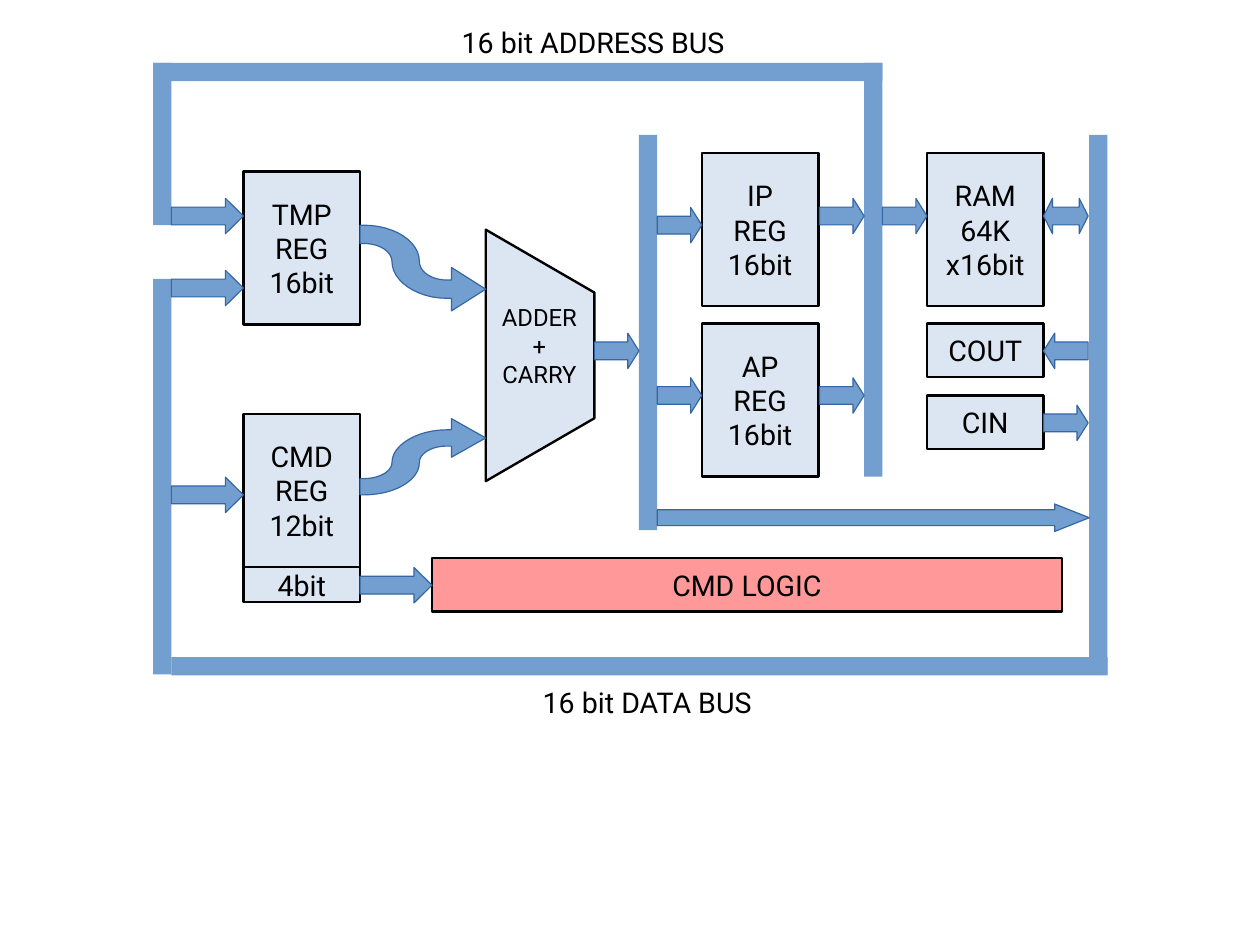
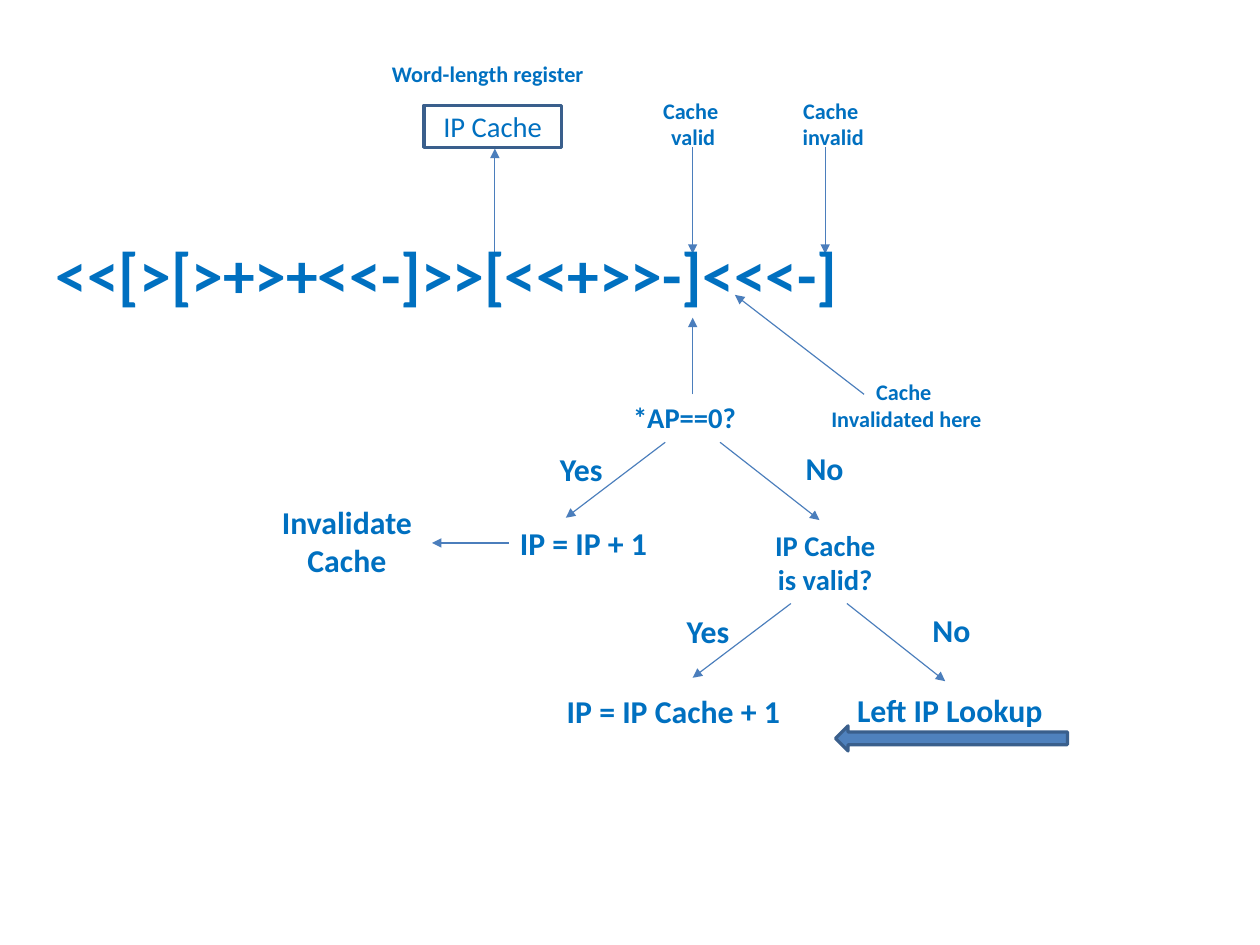
import pptx
import pptx.util
import pptx.dml.color
import pptx.enum.shapes
import pptx.enum.text
import pptx.oxml

Inches = pptx.util.Inches
Pt = pptx.util.Pt
RGBColor = pptx.dml.color.RGBColor
KIND = pptx.enum.shapes.MSO_SHAPE
ALIGN = pptx.enum.text.PP_ALIGN
NONE = pptx.enum.text.MSO_AUTO_SIZE.NONE
GROW = pptx.enum.text.MSO_AUTO_SIZE.SHAPE_TO_FIT_TEXT
MIDDLE = pptx.enum.text.MSO_ANCHOR.MIDDLE

BLACK = RGBColor(0x00, 0x00, 0x00)
WHITE = RGBColor(0xFF, 0xFF, 0xFF)
PALE = RGBColor(0xDC, 0xE6, 0xF2)
ROSE = RGBColor(0xFF, 0x99, 0x99)
BUS = RGBColor(0x72, 0x9F, 0xCF)
EDGE = RGBColor(0x34, 0x65, 0xA4)
INK = RGBColor(0x00, 0x70, 0xC0)
WIRE = RGBColor(0x4B, 0x7E, 0xBC)
STEEL = RGBColor(0x4F, 0x81, 0xBD)
NAVY = RGBColor(0x3A, 0x5F, 0x8C)

PAGE = (28 / 2.54, 21 / 2.54)  # 28 by 21 cm
THICK = 0.16  # bus width
WIDE = 1.02   # block width
TALL = 1.34   # register height
DEEP = 0.31   # arrow height

# Outline of the bent arrow: two numbers are a corner, six a Bezier curve.
BEND = [
    (0, 0), (0.03, 0),
    (0.30, 0, 0.52, 0.14, 0.52, 0.32), (0.52, 0.41, 0.63, 0.48, 0.76, 0.48),
    (0.80, 0.48), (0.80, 0.37), (1.10, 0.56), (0.80, 0.75), (0.80, 0.64),
    (0.76, 0.64),
    (0.50, 0.64, 0.28, 0.49, 0.28, 0.32), (0.28, 0.23, 0.17, 0.16, 0.03, 0.16),
    (0, 0.16),
]


def paint(shape, fill, edge=None, width=0):
    """Give a shape its fill and line, and take off its shadow."""
    shape.shadow.inherit = False
    shape.fill.solid()
    shape.fill.fore_color.rgb = fill
    if edge is None:
        shape.line.fill.background()
    else:
        shape.line.color.rgb = edge
        shape.line.width = Pt(width)


def write(frame, lines, font, size, color, bold=False, align=ALIGN.CENTER):
    """Write lines into a text frame, one paragraph each."""
    for i, line in enumerate(lines):
        para = frame.paragraphs[0] if i == 0 else frame.add_paragraph()
        para.alignment = align
        run = para.add_run()
        run.text = line
        run.font.name = font
        run.font.size = Pt(size)
        run.font.bold = bold
        run.font.color.rgb = color


def label(slide, spot, lines, font, size, color, bold=False, wrap=False):
    """Add free text; a lone line that does not wrap starts at the left."""
    frame = slide.shapes.add_textbox(*map(Inches, spot)).text_frame
    frame.word_wrap = wrap
    frame.auto_size = GROW
    align = ALIGN.CENTER if wrap or len(lines) > 1 else ALIGN.LEFT
    write(frame, lines, font, size, color, bold, align)


def form(slide, kind, spot, fill, edge=None, width=0):
    """Add a painted preset shape."""
    shape = slide.shapes.add_shape(kind, *map(Inches, spot))
    paint(shape, fill, edge, width)
    return shape


def block(slide, spot, lines, fill, edge, width, font, color):
    """Add a framed box with text in its middle."""
    frame = form(slide, KIND.RECTANGLE, spot, fill, edge, width).text_frame
    frame.word_wrap = False
    frame.auto_size = NONE
    frame.vertical_anchor = MIDDLE
    write(frame, lines, font, 18, color)


def arrow(slide, left, mid, width, kind=KIND.RIGHT_ARROW, head=0.25,
          high=DEEP, shaft=0.5):
    """Add a block arrow around height mid; head is a share of its width."""
    spot = (left, mid - high / 2, width, high)
    shape = form(slide, kind, spot, BUS, EDGE)
    shape.adjustments[0] = shaft
    shape.adjustments[1] = head * width / high


def outline(slide, points, fill, edge, width):
    """Add a closed polygon through points in inches."""
    spots = [(Inches(x), Inches(y)) for x, y in points]
    pen = slide.shapes.build_freeform(*spots[0])
    pen.add_line_segments(spots[1:], close=True)
    paint(pen.convert_to_shape(), fill, edge, width)


def curve(start, bend, steps=12):
    """Return points along a cubic Bezier curve."""
    knots = [start, bend[:2], bend[2:4], bend[4:]]
    points = []
    for n in range(1, steps + 1):
        t = n / steps
        parts = ((1 - t) ** 3, 3 * t * (1 - t) ** 2, 3 * t * t * (1 - t), t ** 3)
        points.append(tuple(sum(w * k[axis] for w, k in zip(parts, knots))
                            for axis in (0, 1)))
    return points


def flow(slide, left, top, scale):
    """Add a bent arrow; a negative scale turns it upward."""
    points = []
    for step in BEND:
        points += [step] if len(step) == 2 else curve(points[-1], step)
    outline(slide, [(left + x, top + scale * y) for x, y in points],
            BUS, EDGE, 0)


def link(slide, start, end):
    """Add a thin line with an arrowhead at its end."""
    line = slide.shapes.add_connector(
        pptx.enum.shapes.MSO_CONNECTOR.STRAIGHT, *map(Inches, start + end))
    line.line.color.rgb = WIRE
    line.line.width = Pt(0.75)
    space = 'xmlns:a="http://schemas.openxmlformats.org/drawingml/2006/main"'
    line.line._get_or_add_ln().append(
        pptx.oxml.parse_xml(f'<a:tailEnd {space} type="triangle"/>'))
    line._element.spPr.append(pptx.oxml.parse_xml(f'<a:effectLst {space}/>'))


def draw_chip(slide):
    """Draw the processor: buses, blocks and the arrows between them."""
    outline(slide, [(4.25, 4.21), (4.25, 2.01), (5.2, 2.56), (5.2, 3.66)],
            PALE, BLACK, 1.5)

    for left, top, high in [(5.59, 1.18, 3.46), (7.56, 0.55, 3.62),
                            (9.53, 1.18, 4.72), (1.34, 0.55, 1.42),
                            (1.34, 2.44, 3.46)]:
        form(slide, KIND.RECTANGLE, (left, top, THICK, high), BUS)
    for left, top, width in [(1.34, 0.55, 6.38), (1.5, 5.75, 8.19)]:
        form(slide, KIND.RECTANGLE, (left, top, width, THICK), BUS)

    for left, top, width, high, text, fill in [
            (2.13, 1.5, WIDE, TALL, "TMP|REG|16bit", PALE),
            (2.13, 3.62, WIDE, TALL, "CMD|REG|12bit", PALE),
            (2.13, 4.96, WIDE, 0.31, "4bit", PALE),
            (6.14, 1.34, WIDE, TALL, "IP|REG|16bit", PALE),
            (6.14, 2.83, WIDE, TALL, "AP|REG|16bit", PALE),
            (8.11, 1.34, WIDE, TALL, "RAM|64K|x16bit", PALE),
            (8.11, 2.83, WIDE, 0.47, "COUT", PALE),
            (8.11, 3.46, WIDE, 0.47, "CIN", PALE),
            (3.78, 4.88, 5.51, 0.47, "CMD LOGIC", ROSE)]:
        block(slide, (left, top, width, high), text.split("|"), fill,
              BLACK, 1.5, "Roboto", BLACK)

    for left, mid in [(1.5, 1.89), (1.5, 2.52), (1.5, 4.33), (3.15, 5.12)]:
        arrow(slide, left, mid, 0.63)
    for left, mid in [(7.17, 1.89), (7.72, 1.89), (7.17, 3.46), (5.75, 1.97),
                      (5.75, 3.46), (5.2, 3.07), (9.13, 3.7)]:
        arrow(slide, left, mid, 0.39)
    arrow(slide, 9.13, 3.07, 0.39, KIND.LEFT_ARROW)
    arrow(slide, 9.13, 1.89, 0.39, KIND.LEFT_RIGHT_ARROW, head=0.2)
    arrow(slide, 5.75, 4.53, 3.78, head=0.08, high=0.24, shaft=0.58)
    flow(slide, 3.15, 1.97, 1)
    flow(slide, 3.15, 4.33, -0.89)

    for spot, text, size in [
            ((4.25, 2.6, 0.94, 0.94), "ADDER|+|CARRY", 15),
            ((4.65, 5.94, 2.1, 0.39), "16 bit DATA BUS", 18),
            ((3.94, 0.17, 2.68, 0.39), "16 bit ADDRESS BUS", 18)]:
        label(slide, spot, text.split("|"), "Roboto", size, BLACK)


def draw_cache(slide):
    """Draw the cache decisions around a line of code."""
    for start, end in [
            ((4.33, 2.22), (4.33, 1.3)), ((6.06, 3.45), (6.06, 2.78)),
            ((5.82, 3.87), (4.95, 4.53)), ((6.3, 3.87), (7.17, 4.55)),
            ((6.92, 5.28), (6.06, 5.93)), ((7.41, 5.28), (8.27, 5.96)),
            ((4.45, 4.75), (3.78, 4.75)), ((6.06, 1.29), (6.06, 2.22)),
            ((7.22, 1.29), (7.22, 2.22)), ((7.56, 3.45), (6.43, 2.58))]:
        link(slide, start, end)

    block(slide, (3.71, 0.92, 1.2, 0.37), ["IP Cache"], WHITE, NAVY, 2,
          "Calibri", INK)
    form(slide, KIND.LEFT_ARROW, (7.31, 6.35, 2.03, 0.22), STEEL, NAVY, 2)

    for left, top, width, high, text, size in [
            (0.39, 2.01, 7.04, 0.77, "<<[>[>+>+<<-]>>[<<+>>-]<<<-]", 40),
            (5.44, 3.45, 1.1, 0.4, "*AP==0?", 18),
            (4.8, 3.89, 0.58, 0.44, "Yes", 20),
            (6.95, 3.88, 0.54, 0.44, "No", 20),
            (5.91, 5.3, 0.58, 0.44, "Yes", 20),
            (8.06, 5.29, 0.54, 0.44, "No", 20),
            (4.45, 4.53, 1.33, 0.44, "IP = IP + 1", 20),
            (4.86, 6, 2.09, 0.44, "IP = IP Cache + 1", 20),
            (2.36, 4.35, 1.35, 0.77, "Invalidate|Cache", 20),
            (7.4, 5.99, 1.85, 0.44, "Left IP Lookup", 20),
            (5.7, 0.8, 0.73, 0.57, "Cache |valid", 14),
            (6.92, 0.8, 0.74, 0.57, "Cache |invalid", 14),
            (7.17, 3.26, 1.52, 0.57, "Cache |Invalidated here", 14),
            (3.33, 0.48, 1.89, 0.34, "Word-length register", 14)]:
        label(slide, (left, top, width, high), text.split("|"), "Calibri",
              size, INK, bold=True)
    label(slide, (6.6, 4.57, 1.24, 0.71), ["IP Cache is valid?"], "Calibri",
          18, INK, bold=True, wrap=True)


def main():
    """Build both slides and save them."""
    deck = pptx.Presentation()
    deck.slide_width, deck.slide_height = map(Inches, PAGE)
    for draw in (draw_chip, draw_cache):
        draw(deck.slides.add_slide(deck.slide_layouts[6]))
    deck.save("out.pptx")


main()
